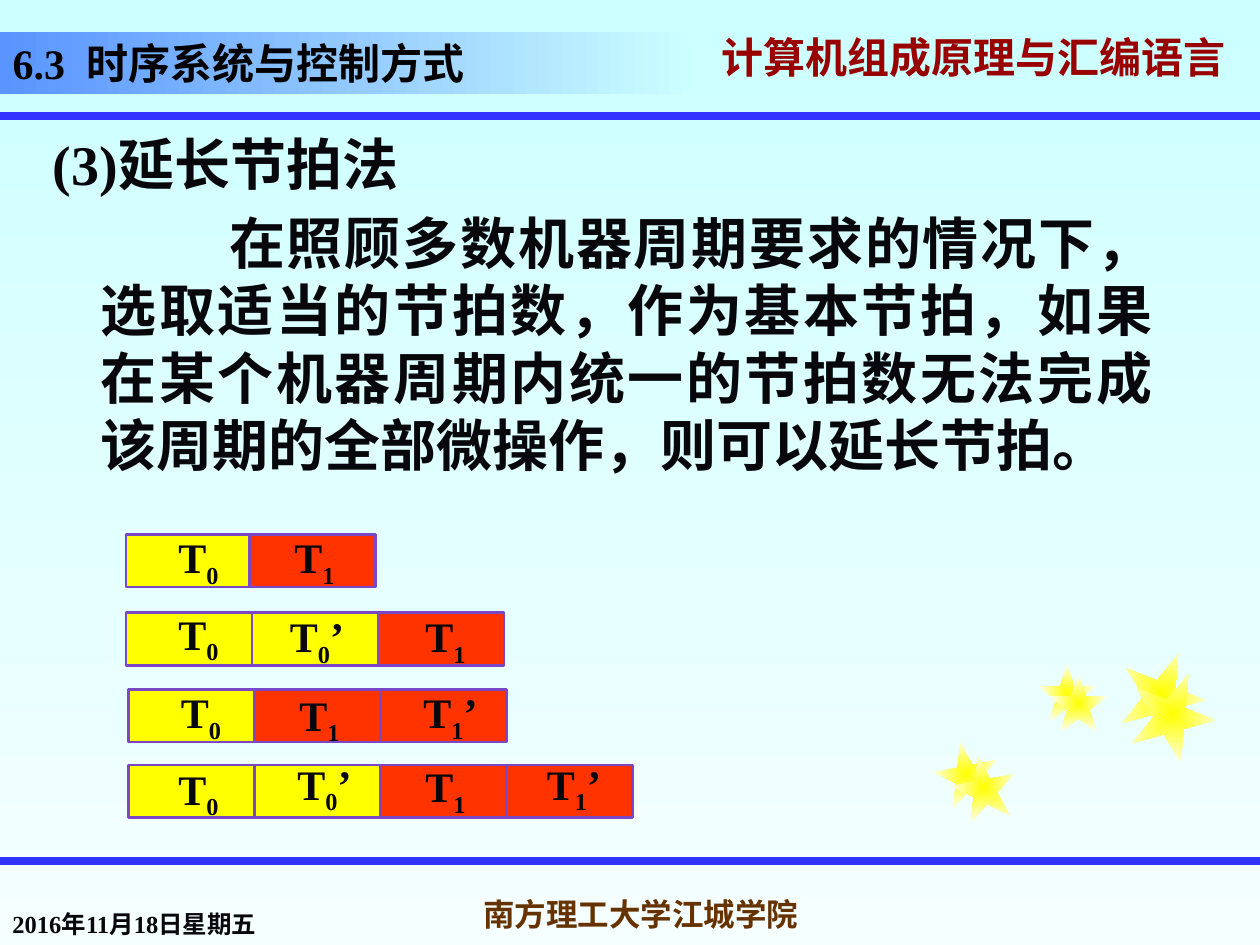
from dataclasses import dataclass

from lxml.etree import SubElement
from pptx import Presentation
from pptx.dml.color import RGBColor
from pptx.enum.shapes import MSO_CONNECTOR, MSO_SHAPE
from pptx.enum.text import MSO_ANCHOR, MSO_AUTO_SIZE, PP_ALIGN
from pptx.oxml import parse_xml
from pptx.oxml.ns import nsdecls, qn
from pptx.util import Inches, Pt

COLUMNS, ROWS = 100, 75
WIDTH, HEIGHT = Inches(10), Inches(7.5)
SERIF, SANS = "Times New Roman", "Noto Sans CJK SC"
INK, YELLOW, RED, RULE = "08080C", "FFFF00", "FF3300", "3333FF"
BEAT_WIDTH, BEAT_HEIGHT = 10, 4.2


@dataclass(frozen=True)
class Run:
    text: str
    font: str = SERIF
    baseline: int = 0


@dataclass(frozen=True)
class Area:
    column: float
    row: float
    columns: float
    rows: float

    def lengths(self) -> tuple:
        return (col(self.column), row(self.row), col(self.columns), row(self.rows))


@dataclass(frozen=True)
class Beat:
    index: str
    prime: str
    label_column: float
    label_row: float


@dataclass(frozen=True)
class Cycle:
    column: float
    row: float
    beats: tuple
    pitch: float = BEAT_WIDTH


@dataclass(frozen=True)
class Star:
    column: float
    row: float
    size: float
    twin_column: float
    twin_row: float
    rotation: float = 0


CYCLES = (
    Cycle(10, 42.4, (Beat("0", "", 2.5, -0.7), Beat("1", "", 1.9, -0.7)), 9.8),
    Cycle(10, 48.6, (Beat("0", "", 2.5, -0.8), Beat("0", "’", 1.9, -0.6),
                     Beat("1", "", 2.1, -0.6))),
    Cycle(10.2, 54.7, (Beat("0", "", 2.5, -0.7), Beat("1", "", 1.9, -0.5),
                       Beat("1", "’", 2.3, -0.7))),
    Cycle(10.2, 60.7, (Beat("0", "", 2.3, -0.6), Beat("0", "’", 2.3, -1),
                       Beat("1", "", 1.9, -0.8), Beat("1", "’", 2.1, -1))),
)
STARS = (
    Star(74.2, 58.9, 5, 1.4, 1.1, -11),
    Star(82.4, 52.7, 4.6, 0.9, 0.8),
    Star(88.9, 51.7, 6.7, 0.8, 1.6, 22),
)


def col(count: float) -> int:
    return round(WIDTH * count / COLUMNS)


def row(count: float) -> int:
    return round(HEIGHT * count / ROWS)


def rgb(code: str) -> RGBColor:
    return RGBColor.from_string(code)


def gradient(fill, start: str, end: str, angle: float = 0) -> None:
    fill.gradient()
    fill.gradient_angle = angle
    for stop, code in zip(fill.gradient_stops, (start, end)):
        stop.color.rgb = rgb(code)


def write(frame, *runs: Run, size: float, color: str = INK, align=PP_ALIGN.LEFT,
          anchor=MSO_ANCHOR.TOP, wrap: bool = True, line=None, before: float = 0,
          margin: float = 0, indent: float = 0, shadow: bool = False) -> None:
    frame.word_wrap = wrap
    frame.auto_size = MSO_AUTO_SIZE.NONE
    frame.vertical_anchor = anchor
    paragraph = frame.add_paragraph() if frame.text else frame.paragraphs[0]
    paragraph.alignment = align
    paragraph.space_before = Pt(before)
    if line:
        paragraph.line_spacing = line
    properties = paragraph._p.get_or_add_pPr()
    properties.set("marL", str(col(margin)))
    properties.set("indent", str(col(indent)))
    for part in runs:
        run = paragraph.add_run()
        run.text = part.text
        run.font.size = Pt(size)
        run.font.bold = True
        run.font.color.rgb = rgb(color)
        run.font.name = part.font
        character = run._r.get_or_add_rPr()
        SubElement(character, qn("a:ea")).set("typeface", SANS)
        if part.baseline:
            character.set("baseline", str(part.baseline * 1000))
        if shadow:
            character.find(qn("a:latin")).addprevious(parse_xml(
                f'<a:effectLst {nsdecls("a")}><a:outerShdw dist="38100" dir="2700000">'
                '<a:srgbClr val="808080"/></a:outerShdw></a:effectLst>'))


def add_text(slide, area: Area, *runs: Run, **style) -> None:
    write(slide.shapes.add_textbox(*area.lengths()).text_frame, *runs, **style)


def add_rule(slide, at_row: float) -> None:
    rule = slide.shapes.add_connector(
        MSO_CONNECTOR.STRAIGHT, 0, row(at_row), WIDTH, row(at_row))
    rule.line.color.rgb = rgb(RULE)
    rule.line.width = Pt(4.5)
    SubElement(rule._element.spPr, qn("a:effectLst"))


def add_star(slide, column: float, at_row: float, star: Star) -> None:
    shape = slide.shapes.add_shape(
        MSO_SHAPE.STAR_5_POINT, *Area(column, at_row, star.size, star.size).lengths())
    shape.rotation = star.rotation
    shape.shadow.inherit = False
    shape.line.fill.background()
    gradient(shape.fill, YELLOW, "FFFFF5")
    linear = shape._element.spPr.find(qn("a:gradFill")).find(qn("a:lin"))
    linear.getparent().replace(linear, parse_xml(
        f'<a:path {nsdecls("a")} path="shape">'
        '<a:fillToRect l="50000" t="50000" r="50000" b="50000"/></a:path>'))


def add_beat(slide, column: float, at_row: float, beat: Beat) -> None:
    block = slide.shapes.add_shape(
        MSO_SHAPE.RECTANGLE, *Area(column, at_row, BEAT_WIDTH, BEAT_HEIGHT).lengths())
    block.shadow.inherit = False
    block.fill.solid()
    block.fill.fore_color.rgb = rgb(YELLOW if beat.index == "0" else RED)
    block.line.color.rgb = rgb("7A48C4")
    block.line.width = Pt(1.5)
    label = [Run("T"), Run(beat.index, baseline=-25)]
    if beat.prime:
        label.append(Run(beat.prime))
    add_text(slide, Area(column + beat.label_column, at_row + beat.label_row, 6.5, 5),
             *label, size=24, align=PP_ALIGN.CENTER)


def main() -> None:
    deck = Presentation()
    deck.slide_width, deck.slide_height = WIDTH, HEIGHT
    slide = deck.slides.add_slide(deck.slide_layouts[5])
    gradient(slide.background.fill, "CCFFFF", "F5FFFF", 270)

    heading = slide.shapes.title
    heading.left, heading.top, heading.width, heading.height = Area(0, 2.5, 55, 5).lengths()
    gradient(heading.fill, "5994FF", "CCFFFF")
    write(heading.text_frame, Run("6.3  "), Run("时序系统与控制方式", SANS), size=24,
          color="000000", align=PP_ALIGN.JUSTIFY, anchor=MSO_ANCHOR.BOTTOM, line=Pt(29))

    add_text(slide, Area(56.3, 2.5, 43.7, 5), Run("计算机组成原理与汇编语言", SANS), size=24,
             color="990000", anchor=MSO_ANCHOR.MIDDLE, line=0.7, shadow=True)
    for rule_row in (9.2, 68.3):
        add_rule(slide, rule_row)
    for star in STARS:
        add_star(slide, star.column, star.row, star)
        add_star(slide, star.column + star.twin_column, star.row + star.twin_row, star)

    add_text(slide, Area(0, 70, 22.4, 5), Run("2016年11月18日星期五"), size=14,
             anchor=MSO_ANCHOR.BOTTOM, line=Pt(16.6))
    add_text(slide, Area(35, 70, 31.7, 5), Run("南方理工大学江城学院"), size=18,
             color="663300", align=PP_ALIGN.CENTER, anchor=MSO_ANCHOR.MIDDLE, wrap=False)

    body = slide.shapes.add_textbox(*Area(3.2, 9.8, 89.3, 57.7).lengths()).text_frame
    passages = (
        ("(3)延长节拍法", -3.8),
        ("在照顾多数机器周期要求的情况下，选取适当的节拍数，作为基本节拍，"
         "如果在某个机器周期内统一的节拍数无法完成该周期的全部微操作，则可以延长节拍。", 10.2),
    )
    for passage, indent in passages:
        write(body, Run(passage), size=32, align=PP_ALIGN.JUSTIFY, line=Pt(38.5),
              before=6.4, margin=3.8, indent=indent)

    for cycle in CYCLES:
        for position, beat in enumerate(cycle.beats):
            add_beat(slide, cycle.column + position * cycle.pitch, cycle.row, beat)

    deck.save("out.pptx")


if __name__ == "__main__":
    main()
